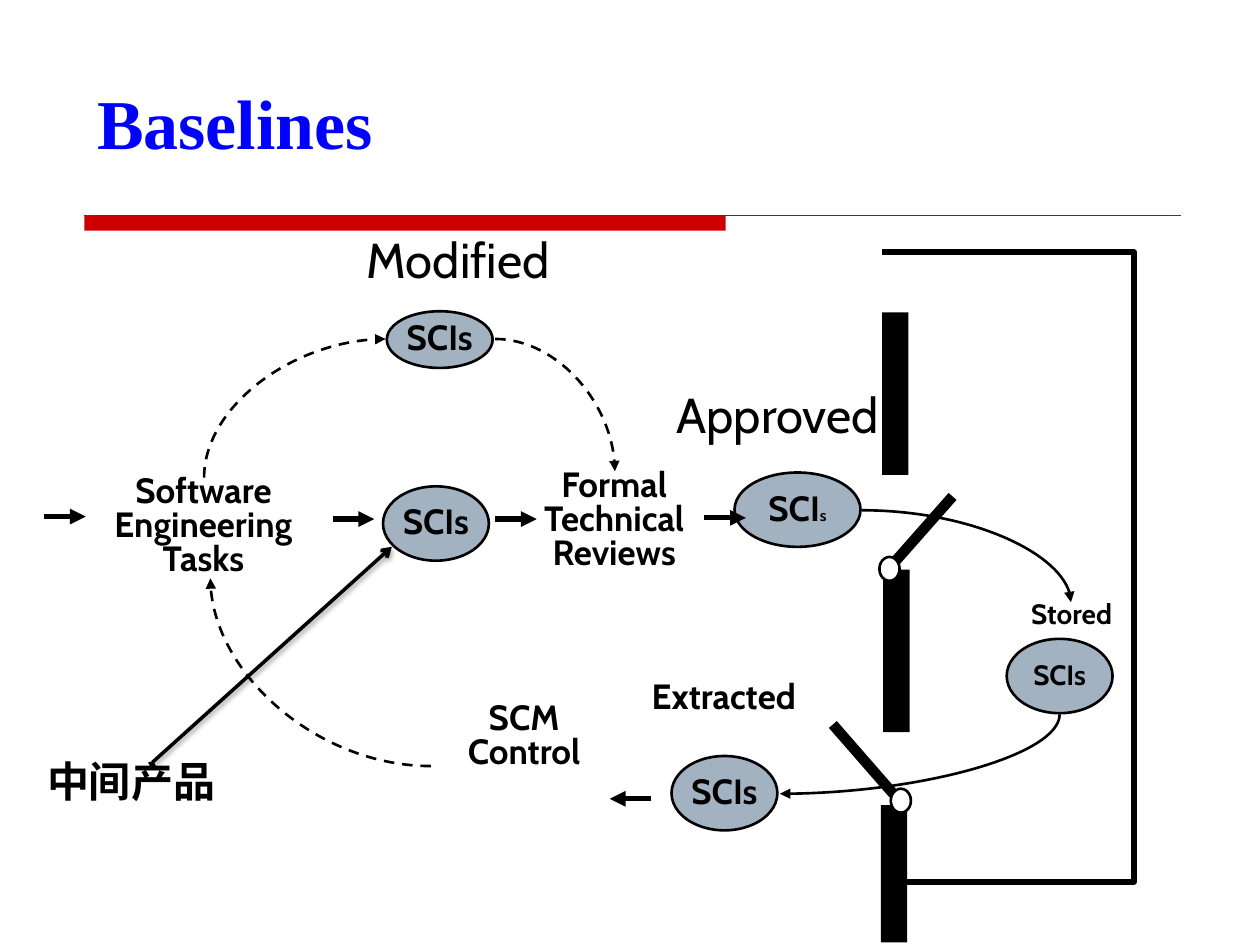
from pptx import Presentation
from pptx import util as u
from pptx.dml.color import RGBColor
from pptx.enum import dml, shapes, text
from pptx.oxml.xmlchemy import OxmlElement

BLACK = RGBColor(0x00, 0x00, 0x00)
WHITE = RGBColor(0xFF, 0xFF, 0xFF)
BLUE = RGBColor(0x00, 0x00, 0xFF)
RED = RGBColor(0xCC, 0x00, 0x00)
STEEL = RGBColor(0xA3, 0xB2, 0xC1)

TITLE = "Baselines"
TITLE_FORMAT = {"name": "Times New Roman", "size": u.Pt(40), "bold": True}
ITEM_NODES = [
    (3.07, 2.47, 0.84, 0.45, [("SCIs", 20)]),
    (3.04, 3.86, 0.84, 0.59, [("SCIs", 20)]),
    (5.83, 3.75, 1.0, 0.59, [("SCI", 20), ("s", 9)]),
    (5.33, 6.0, 0.84, 0.59, [("SCIs", 20)]),
    (7.99, 5.07, 0.84, 0.59, [("SCIs", 16)]),
]
LABELS = [
    (0.58, 3.79, 2.07, 0.87, ["Software", "Engineering", "Tasks"], 20, True),
    (4.0, 3.74, 1.75, 0.87, ["Formal", "Technical", "Reviews"], 20, True),
    (2.58, 1.94, 2.11, 0.38, ["Modified"], 28, False),
    (5.17, 3.17, 2.0, 0.38, ["Approved"], 28, False),
    (7.81, 4.78, 1.39, 0.26, ["Stored"], 16, True),
    (4.91, 5.42, 1.67, 0.3, ["Extracted"], 20, True),
    (3.5, 5.59, 1.32, 0.58, ["SCM", "Control"], 20, True),
    (0.08, 6.09, 1.92, 0.35, ["中间产品"], 24, True),
]
FLOW_LENGTH = 0.33
FLOW_ARROWS = [(2.64, 4.12, 1), (0.35, 4.1, 1), (3.93, 4.12, 1), (5.59, 4.11, 1), (5.17, 6.34, -1)]
CURVES = [
    (1.62, 3.79, 3.06, 2.69, "vertical", True),
    (3.93, 2.69, 4.88, 3.74, "horizontal", True),
    (3.42, 6.08, 1.67, 4.59, "horizontal", True),
    (6.84, 4.05, 8.5, 4.78, "horizontal", False),
    (8.41, 5.67, 6.19, 6.3, "vertical", False),
]
VAULT_OUTLINE = [(7.0, 2.42), (9.33, 2.42), (9.33, 7.41), (6.99, 7.4)]
WALLS = [(7.0, 2.48, 0.21, 1.29), (6.99, 6.39, 0.21, 1.09), (7.01, 4.52, 0.21, 1.29)]
HINGES = [(6.98, 4.42, 0.16, 0.19), (7.07, 6.26, 0.16, 0.19)]
GATES = [(7.11, 4.45, 7.56, 3.94), (6.61, 5.75, 7.09, 6.3)]
POINTER = (1.21, 6.05, 3.11, 4.34)


def add_element(parent, tag, **attributes):
    element = OxmlElement(tag)
    for name, value in attributes.items():
        element.set(name, str(value))
    parent.append(element)
    return element


def set_line(line, width, color=BLACK):
    line.color.rgb = color
    line.width = u.Pt(width)


def add_block(slide, kind, box, fill, line_width=None):
    shape = slide.shapes.add_shape(kind, *map(u.Inches, box))
    shape.shadow.inherit = False
    shape.fill.solid()
    shape.fill.fore_color.rgb = fill
    if line_width:
        set_line(shape.line, line_width)
    else:
        shape.line.fill.background()
    return shape


def add_line(slide, ends, width, head=None, dashed=False, color=BLACK, kind=shapes.MSO_CONNECTOR.STRAIGHT):
    connector = slide.shapes.add_connector(kind, *map(u.Inches, ends))
    set_line(connector.line, width, color)
    if dashed:
        connector.line.dash_style = dml.MSO_LINE.DASH
    if head:
        add_element(connector.line._get_or_add_ln(), "a:tailEnd", type=head)
    effects = add_element(connector._element.spPr, "a:effectLst")
    return connector, effects


def add_curve(slide, x1, y1, x2, y2, start, dashed):
    ends = (x1, y1, x2, y2)
    if start == "vertical":
        middle_x, middle_y = (x1 + x2) / 2, (y1 + y2) / 2
        half_width, half_height = abs(y2 - y1) / 2, abs(x2 - x1) / 2
        ends = (middle_x - half_width, middle_y - half_height,
                middle_x + half_width, middle_y + half_height)
    connector, _ = add_line(slide, ends, 1.5, "triangle", dashed, kind=shapes.MSO_CONNECTOR.CURVE)
    properties = connector._element.spPr
    properties.prstGeom.set("prst", "curvedConnector2")
    if start == "vertical":
        degrees = 90 if y2 > y1 else 270
        properties.xfrm.set("rot", str(degrees * 60000))


def add_run(paragraph, content, size, bold):
    run = paragraph.add_run()
    run.text = content
    for name, value in {"name": "Cabin", "size": u.Pt(size), "bold": bold}.items():
        setattr(run.font, name, value)
    run.font.color.rgb = BLACK


def add_item(slide, *values):
    *box, runs = values
    shape = add_block(slide, shapes.MSO_SHAPE.OVAL, box, STEEL, 1.5)
    frame = shape.text_frame
    frame.word_wrap = False
    frame.vertical_anchor = text.MSO_ANCHOR.MIDDLE
    paragraph = frame.paragraphs[0]
    paragraph.alignment = text.PP_ALIGN.CENTER
    paragraph.line_spacing = 0.9
    for content, size in runs:
        add_run(paragraph, content, size, True)


def add_label(slide, *values):
    *box, lines, size, bold = values
    frame = slide.shapes.add_textbox(*map(u.Inches, box)).text_frame
    frame.word_wrap = True
    frame.auto_size = text.MSO_AUTO_SIZE.SHAPE_TO_FIT_TEXT
    for index, content in enumerate(lines):
        paragraph = frame.add_paragraph() if index else frame.paragraphs[0]
        paragraph.alignment = text.PP_ALIGN.CENTER
        paragraph.line_spacing = 0.6
        if index:
            paragraph.space_before = u.Pt(size * 0.25)
        add_run(paragraph, content, size, bold)


def add_title(slide):
    title = slide.shapes.title
    title.left, title.top, title.width, title.height = map(u.Inches, (0.67, 0.85, 9.03, 0.5))
    frame = title.text_frame
    frame.text = TITLE
    frame.auto_size = text.MSO_AUTO_SIZE.NONE
    frame.vertical_anchor = text.MSO_ANCHOR.BOTTOM
    paragraph = frame.paragraphs[0]
    paragraph.alignment = text.PP_ALIGN.LEFT
    for name, value in TITLE_FORMAT.items():
        setattr(paragraph.font, name, value)
    paragraph.font.color.rgb = BLUE


def add_vault(slide):
    builder = slide.shapes.build_freeform(*VAULT_OUTLINE[0], scale=u.Inches(1))
    builder.add_line_segments(VAULT_OUTLINE[1:], close=False)
    vault = builder.convert_to_shape()
    vault.shadow.inherit = False
    vault.fill.background()
    set_line(vault.line, 3)
    for wall in WALLS:
        add_block(slide, shapes.MSO_SHAPE.RECTANGLE, wall, BLACK)
    for hinge in HINGES:
        add_block(slide, shapes.MSO_SHAPE.OVAL, hinge, WHITE, 1.5)
    for gate in GATES:
        add_line(slide, gate, 6)


def add_pointer(slide):
    _, effects = add_line(slide, POINTER, 2, "arrow")
    shadow = add_element(effects, "a:outerShdw", blurRad=u.Pt(3.1), dist=u.Pt(1.6), dir=90 * 60000, rotWithShape=0)
    color = add_element(shadow, "a:srgbClr", val=BLACK)
    add_element(color, "a:alpha", val=38000)


def main():
    presentation = Presentation()
    presentation.slide_width, presentation.slide_height = u.Inches(10), u.Inches(7.5)
    slide = presentation.slides.add_slide(presentation.slide_layouts[5])
    add_block(slide, shapes.MSO_SHAPE.RECTANGLE, (0.67, 1.71, 5.09, 0.12), RED)
    add_line(slide, (0.67, 1.71, 9.37, 1.71), 0.75, color=RED)
    add_title(slide)
    for item in ITEM_NODES:
        add_item(slide, *item)
    for x, y, direction in FLOW_ARROWS:
        add_line(slide, (x, y, x + direction * FLOW_LENGTH, y), 3, "triangle")
    for curve in CURVES:
        add_curve(slide, *curve)
    add_vault(slide)
    add_pointer(slide)
    for label in LABELS:
        add_label(slide, *label)
    presentation.save("out.pptx")


if __name__ == "__main__":
    main()
